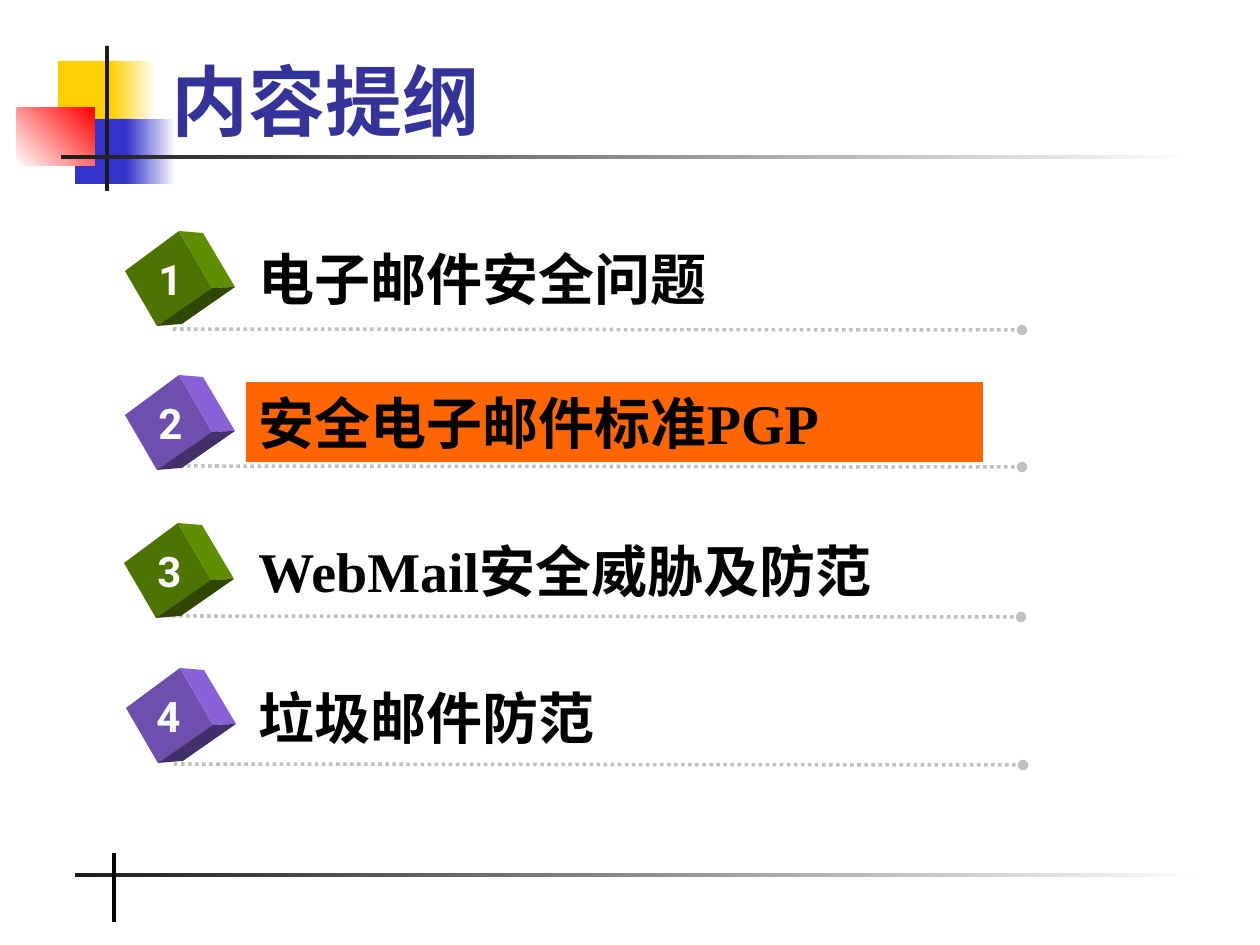
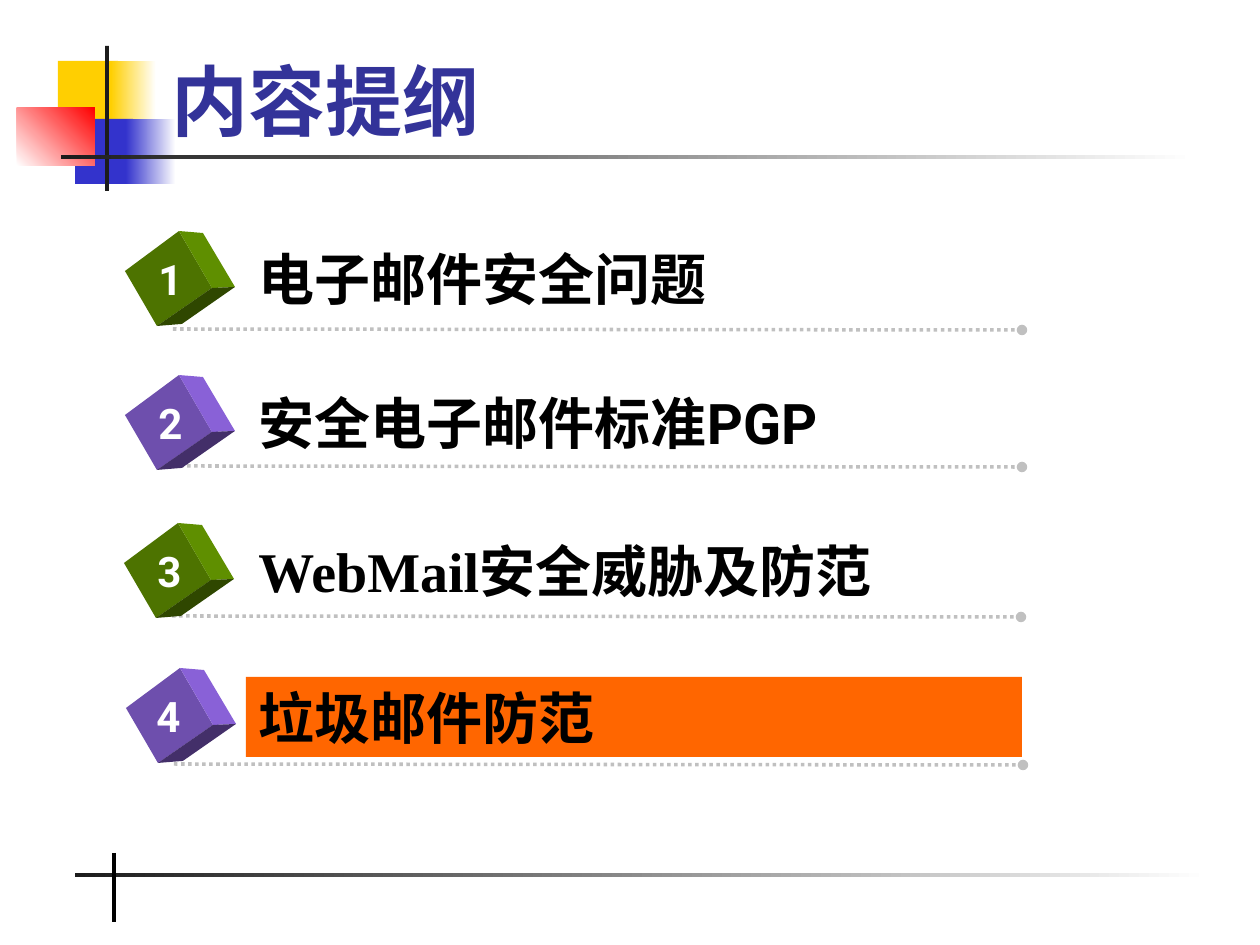
import dataclasses

import pptx
import pptx.dml.color
import pptx.enum.dml
import pptx.enum.shapes
import pptx.enum.text
import pptx.oxml
import pptx.oxml.ns
import pptx.util

PX_PER_INCH = 126


@dataclasses.dataclass(frozen=True)
class Theme:
    serif: str = "Times New Roman"
    sans: str = "Roboto"
    title_size: int = 44
    label_size: int = 32
    number_size: int = 24
    title: str = "333399"
    text: str = "000000"
    white: str = "FFFFFF"
    yellow: str = "FFCF01"
    blue: str = "3333CC"
    red: str = "FF0000"
    ink: str = "1C1C1C"
    rule: str = "C0C0C0"
    highlight: str = "FF6600"
    # Cube faces: front, right, bottom
    green_cube: tuple = ("4D7300", "5F8F00", "2F4700")
    purple_cube: tuple = ("6E4FAD", "8961D7", "432F69")


THEME = Theme()

CUBE_FACES = (
    ((0, 40), (54, 0), (87, 57), (32, 95)),
    ((54, 0), (78, 2), (110, 56), (87, 57)),
    ((32, 95), (87, 57), (110, 56), (57, 93)),
)


@dataclasses.dataclass(frozen=True)
class Topic:
    text: str
    left: int
    top: int
    label_top: int
    label_width: int
    number_left: int
    rule_top: int


# Left and top place the cube; the other offsets are relative to it
TOPICS = (
    Topic("电子邮件安全问题", 125, 231, 7, 776, 21, 98),
    Topic("安全电子邮件标准PGP", 125, 375, 7, 737, 21, 91),
    Topic("WebMail安全威胁及防范", 124, 523, 7, 757, 21, 93),
    Topic("垃圾邮件防范", 126, 668, 9, 776, 18, 96),
)


def px(length):
    return pptx.util.Emu(round(length * 914400 / PX_PER_INCH))


def rgb(value):
    return pptx.dml.color.RGBColor.from_string(value)


def paint(shape, color):
    shape.shadow.inherit = False
    shape.line.fill.background()
    shape.fill.solid()
    shape.fill.fore_color.rgb = rgb(color)


def add_block(slide, box, color, end_color=None, angle=0):
    shape = slide.shapes.add_shape(
        pptx.enum.shapes.MSO_SHAPE.RECTANGLE, *map(px, box))
    paint(shape, color)
    if end_color:
        shape.fill.gradient()
        shape.fill.gradient_angle = angle
        for stop, stop_color in zip(shape.fill.gradient_stops, (color, end_color)):
            stop.color.rgb = rgb(stop_color)
    return shape


def add_line(slide, start, end, color, width):
    line = slide.shapes.add_connector(
        pptx.enum.shapes.MSO_CONNECTOR.STRAIGHT, *map(px, start + end))
    line.line.color.rgb = rgb(color)
    line.line.width = pptx.util.Pt(width)
    line.element.spPr.append(pptx.oxml.parse_xml(
        f"<a:effectLst {pptx.oxml.ns.nsdecls('a')}/>"))
    return line


def add_run(paragraph, text, font_name, size, color):
    run = paragraph.add_run()
    run.text = text
    run.font.name = font_name
    run.font.size = pptx.util.Pt(size)
    run.font.bold = True
    run.font.color.rgb = rgb(color)


def add_text(slide, box, text, font_name, size, color, wrap=True):
    shape = slide.shapes.add_textbox(*map(px, box))
    shape.text_frame.word_wrap = wrap
    add_run(shape.text_frame.paragraphs[0], text, font_name, size, color)
    return shape


def decorate_layout(layout, slide):
    """Build the shared decoration on a slide, then move it to the layout."""
    white = THEME.white
    parts = [
        # Coloured squares
        add_block(slide, (58, 61, 60, 65), THEME.yellow),
        add_block(slide, (111, 61, 45, 65), THEME.yellow, white),
        add_block(slide, (75, 119, 58, 65), THEME.blue),
        add_block(slide, (126, 119, 50, 65), THEME.blue, white),
        add_block(slide, (17, 108, 78, 58), white, THEME.red, 45),
        # Title cross
        add_block(slide, (105, 46, 4, 145), THEME.ink),
        add_block(slide, (61, 155, 1134, 4), THEME.ink, white),
        # Footer cross
        add_block(slide, (75, 873, 1134, 4), THEME.ink, white),
        add_line(slide, (114, 853), (114, 922), THEME.text, 2.25),
    ]
    for shape_id, part in enumerate(parts, start=100):
        part.element.xpath("./*/p:cNvPr")[0].set("id", str(shape_id))
        layout.shapes.element.append(part.element)


def add_title(slide, text):
    title = slide.shapes.title
    title.left, title.top, title.width, title.height = map(px, (159, 20, 1073, 132))
    frame = title.text_frame
    frame.auto_size = pptx.enum.text.MSO_AUTO_SIZE.NONE
    frame.vertical_anchor = pptx.enum.text.MSO_ANCHOR.BOTTOM
    paragraph = frame.paragraphs[0]
    paragraph.alignment = pptx.enum.text.PP_ALIGN.LEFT
    add_run(paragraph, text, THEME.serif, THEME.title_size, THEME.title)


def add_cube(slide, left, top, colors):
    for face, color in zip(CUBE_FACES, colors):
        points = [(px(left + x), px(top + y)) for x, y in face]
        builder = slide.shapes.build_freeform(*points[0])
        builder.add_line_segments(points[1:])
        paint(builder.convert_to_shape(), color)


def add_topic(slide, number, topic, font_name, highlighted):
    left, top = topic.left, topic.top

    # Dotted rule with a round end
    rule_top = top + topic.rule_top
    rule = add_line(slide, (left + 48, rule_top), (left + 897, rule_top + 1),
                    THEME.rule, 2)
    rule.line.dash_style = pptx.enum.dml.MSO_LINE.ROUND_DOT
    rule.get_or_add_ln().append(pptx.oxml.parse_xml(
        f"<a:tailEnd {pptx.oxml.ns.nsdecls('a')} type='oval'/>"))

    # Numbered cube
    add_cube(slide, left, top, THEME.green_cube if number % 2 else THEME.purple_cube)
    number_box = (left + topic.number_left, top + 16, 49, 63)
    digit = add_text(slide, number_box, str(number), THEME.sans,
                     THEME.number_size, THEME.white, wrap=False)
    digit.text_frame.paragraphs[0].alignment = pptx.enum.text.PP_ALIGN.CENTER

    # Topic label
    label_box = (246, top + topic.label_top, topic.label_width, 80)
    label = add_text(slide, label_box, topic.text, font_name,
                     THEME.label_size, THEME.text)
    if highlighted:
        label.fill.solid()
        label.fill.fore_color.rgb = rgb(THEME.highlight)


def add_outline_slide(presentation, layout, current, sans_topics):
    slide = presentation.slides.add_slide(layout)
    add_title(slide, "内容提纲")
    for number, topic in enumerate(TOPICS, start=1):
        font_name = THEME.sans if number in sans_topics else THEME.serif
        add_topic(slide, number, topic, font_name, number == current)
    return slide


def main():
    presentation = pptx.Presentation()
    presentation.slide_width = px(1260)
    presentation.slide_height = px(945)
    layout = presentation.slide_layouts.get_by_name("Title Only")
    first_slide = add_outline_slide(presentation, layout, current=2, sans_topics={4})
    decorate_layout(layout, first_slide)
    add_outline_slide(presentation, layout, current=4, sans_topics={1, 2})
    presentation.save("out.pptx")


if __name__ == "__main__":
    main()
